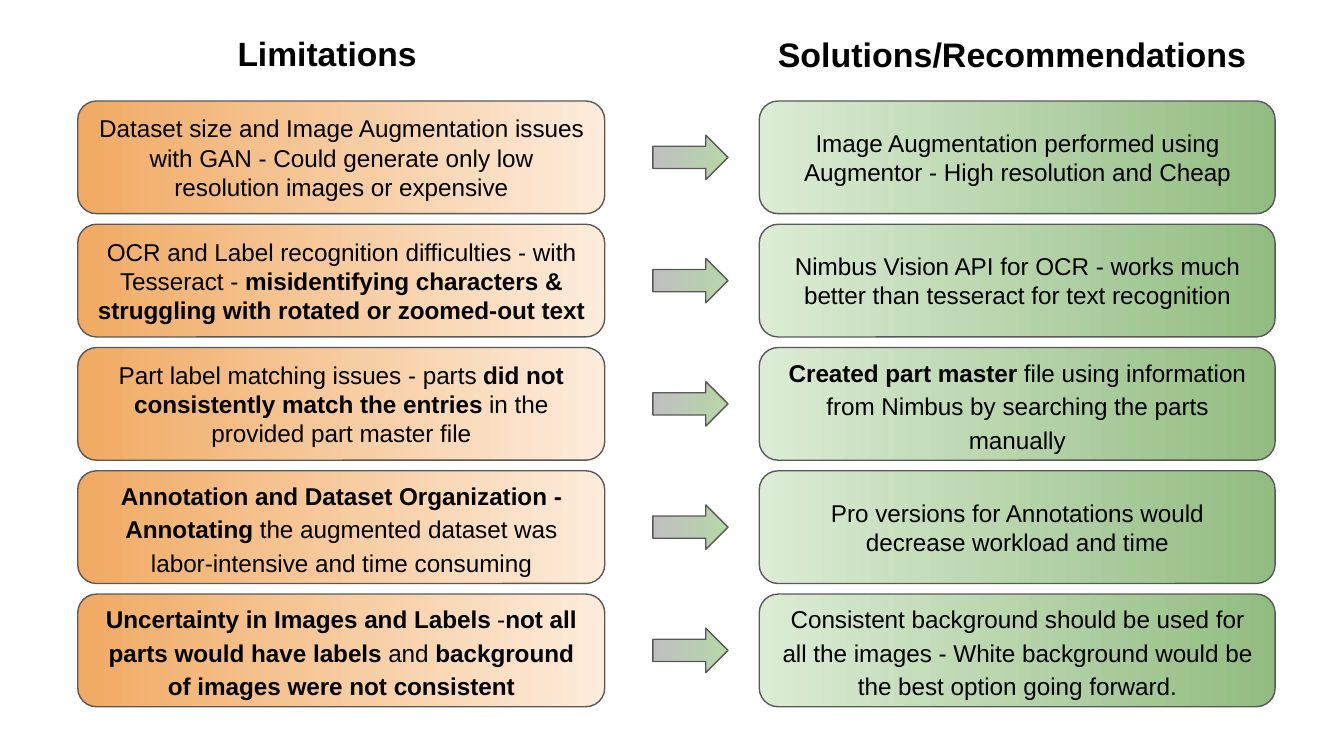
from pptx import Presentation
from pptx import util as u
from pptx.dml.color import RGBColor
from pptx.enum import shapes, text

COLOURS = {
    "text": "000000",
    "outline": "595959",
    "limitation": ("FDECDB", "F0AA63"),
    "arrow": ("BFBFBF", "B6D7A8"),
    "solution": ("DCECD5", "92BC81"),
}

# Lengths in centimetres
FIRST_TOP, ROW_PITCH, ROW_HEIGHT = 1.91, 2.33, 2.13
LIMITATION_LEFT, LIMITATION_WIDTH = 1.47, 9.96
ARROW_LEFT, ARROW_WIDTH, ARROW_HEIGHT = 12.34, 1.42, 0.84
SOLUTION_LEFT, SOLUTION_WIDTH = 14.35, 9.75
HEADING_TOP, HEADING_HEIGHT = 0.38, 1.6

# Heading, left, width, font size
HEADINGS = [
    ("**Limitations**", 4.24, 5.31, 18),
    ("**Solutions/Recommendations**", 14.45, 9.42, 18.2),
]

# (limitation, line spacing), (solution, line spacing); ** marks bold
ROWS = [
    (("Dataset size and Image Augmentation issues with GAN - Could generate "
      "only low resolution images or expensive", 1),
     ("Image Augmentation performed using Augmentor - High resolution and Cheap", 1)),
    (("OCR and Label recognition difficulties - with Tesseract - "
      "**misidentifying characters & struggling with rotated or zoomed-out text**", 1),
     ("Nimbus Vision API for OCR - works much better than tesseract "
      "for text recognition", 1)),
    (("Part label matching issues - parts **did not consistently match the "
      "entries** in the provided part master file", 1),
     ("**Created part master** file using information from Nimbus by "
      "searching the parts manually", 1.15)),
    (("**Annotation and Dataset Organization - Annotating** the augmented "
      "dataset was labor-intensive and time consuming", 1.15),
     ("Pro versions for Annotations would decrease workload and time", 1)),
    (("**Uncertainty in Images and Labels** -**not all parts would have labels** "
      "and **background of images were not consistent**", 1.15),
     ("Consistent background should be used for all the images - White "
      "background would be the best option going forward.", 1.15)),
]


def apply(target, settings):
    for name, value in settings.items():
        setattr(target, name, value)


class Board:
    font = "Arial"
    body_size = 13
    frame_format = {
        "word_wrap": True,
        **{f"margin_{side}": u.Cm(0.25) for side in ("left", "top", "right", "bottom")},
    }

    def __init__(self, slide):
        self.slide = slide

    def fill_text(self, frame, marked, size, anchor, **paragraph_format):
        """Fill a text frame; the parts between ** pairs become bold."""
        apply(frame, {**self.frame_format, "vertical_anchor": anchor})
        paragraph = frame.paragraphs[0]
        apply(paragraph, paragraph_format)
        for index, part in enumerate(marked.split("**")):
            if part:
                run = paragraph.add_run()
                run.text = part
                apply(run.font, {"name": self.font, "size": u.Pt(size),
                                 "bold": index % 2 == 1})
                run.font.color.rgb = RGBColor.from_string(COLOURS["text"])

    def heading(self, marked, left, width, size):
        box = self.slide.shapes.add_textbox(
            u.Cm(left), u.Cm(HEADING_TOP), u.Cm(width), u.Cm(HEADING_HEIGHT))
        self.fill_text(box.text_frame, marked, size, text.MSO_ANCHOR.TOP,
                       alignment=text.PP_ALIGN.LEFT)

    def gradient_shape(self, preset, left, top, width, height, role, angle=0):
        shape = self.slide.shapes.add_shape(
            preset, u.Cm(left), u.Cm(top), u.Cm(width), u.Cm(height))
        shape.shadow.inherit = False
        shape.fill.gradient()
        shape.fill.gradient_angle = angle
        for stop, colour in zip(shape.fill.gradient_stops, COLOURS[role]):
            stop.color.rgb = RGBColor.from_string(colour)
        shape.line.color.rgb = RGBColor.from_string(COLOURS["outline"])
        shape.line.width = u.Pt(0.75)
        return shape

    def card(self, statement, left, top, width, role, angle=0):
        marked, spacing = statement
        card = self.gradient_shape(shapes.MSO_SHAPE.ROUNDED_RECTANGLE, left, top,
                                   width, ROW_HEIGHT, role, angle)
        self.fill_text(card.text_frame, marked, self.body_size, text.MSO_ANCHOR.MIDDLE,
                       alignment=text.PP_ALIGN.CENTER, line_spacing=spacing)

    def arrow(self, row_top):
        self.gradient_shape(shapes.MSO_SHAPE.RIGHT_ARROW, ARROW_LEFT,
                            row_top + (ROW_HEIGHT - ARROW_HEIGHT) / 2,
                            ARROW_WIDTH, ARROW_HEIGHT, "arrow")


def main():
    deck = Presentation()
    apply(deck, {"slide_width": u.Cm(25.4), "slide_height": u.Cm(14.29)})
    board = Board(deck.slides.add_slide(deck.slide_layouts[6]))
    for heading in HEADINGS:
        board.heading(*heading)
    for index, (limitation, solution) in enumerate(ROWS):
        top = FIRST_TOP + index * ROW_PITCH
        board.card(limitation, LIMITATION_LEFT, top, LIMITATION_WIDTH, "limitation", 180)
        board.arrow(top)
        board.card(solution, SOLUTION_LEFT, top, SOLUTION_WIDTH, "solution")
    deck.save("out.pptx")


if __name__ == "__main__":
    main()
